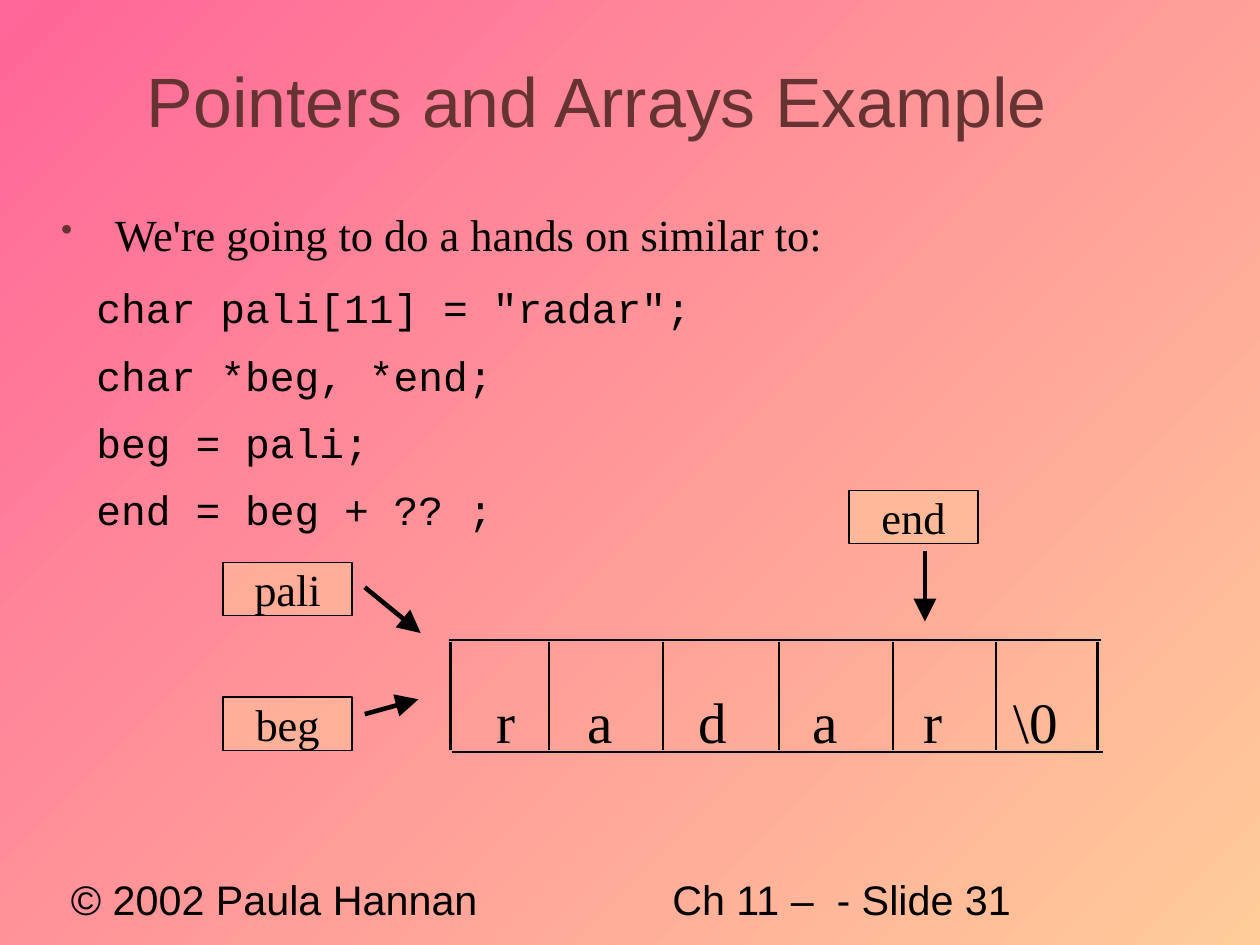
from lxml.etree import SubElement as Sub
from pptx import Presentation
from pptx.dml.color import RGBColor
from pptx.enum.shapes import MSO_CONNECTOR as Conn, MSO_SHAPE as Shape
from pptx.enum.text import MSO_ANCHOR as Anchor, PP_ALIGN as Align
from pptx.oxml.ns import qn
from pptx.util import Cm, Inches, Pt

PINK = RGBColor(0xFF, 0x66, 0x99)
PEACH = RGBColor(0xFF, 0xCC, 0x99)
BROWN = RGBColor(0x66, 0x33, 0x33)
BLACK = RGBColor(0, 0, 0)
SANS, SERIF, MONO = "Arial", "Times New Roman", "Courier New"


class Page:
    """One slide; all places are percent of its width and height."""

    def __init__(self, deck):
        self.wide, self.high = deck.slide_width, deck.slide_height
        self.slide = deck.slides.add_slide(deck.slide_layouts[6])
        self.shapes = self.slide.shapes

    def spot(self, x, y):
        return round(self.wide * x / 100), round(self.high * y / 100)

    def back(self, start, stop):
        fill = self.slide.background.fill
        fill.gradient()
        fill.gradient_angle = 315
        for mark, color in zip(fill.gradient_stops, (start, stop)):
            mark.color.rgb = color

    def style(self, para, size, font, color=BLACK):
        for run in para.runs:
            run.font.size = Pt(size)
            run.font.name = font
            run.font.color.rgb = color

    def frame(self, shape, wrap=True, anchor=Anchor.TOP):
        frame = shape.text_frame
        frame.margin_left = frame.margin_right = 0
        frame.margin_top = frame.margin_bottom = 0
        frame.word_wrap = wrap
        frame.vertical_anchor = anchor
        return frame

    def text(self, place, words, size, font, color=BLACK,
             align=Align.LEFT, anchor=Anchor.TOP):
        box = self.shapes.add_textbox(*self.spot(*place[:2]), *self.spot(*place[2:]))
        frame = self.frame(box, anchor=anchor)
        frame.text = words
        para = frame.paragraphs[0]
        para.alignment = align
        self.style(para, size, font, color)
        return frame

    def indent(self, para, left, first):
        props = para._p.get_or_add_pPr()
        props.set("marL", str(Inches(left)))
        props.set("indent", str(Inches(first)))
        return props

    def bullet(self, para, color):
        props = self.indent(para, 0.55, -0.47)
        tint = Sub(props, qn("a:buClr"))
        Sub(tint, qn("a:srgbClr"), val=str(color))
        Sub(props, qn("a:buSzPct"), val="75000")
        Sub(props, qn("a:buChar"), char="•")

    def label(self, x, y, words):
        box = self.shapes.add_shape(
            Shape.RECTANGLE, *self.spot(x, y), *self.spot(10.25, 5.68))
        box.shadow.inherit = False
        box.fill.solid()
        box.fill.fore_color.rgb = PEACH
        tint = box.fill._xPr.find(qn("a:solidFill"))[0]
        Sub(tint, qn("a:alpha"), val="50000")
        box.line.color.rgb = BLACK
        box.line.width = Pt(0.75)
        frame = self.frame(box, wrap=False, anchor=Anchor.MIDDLE)
        frame.text = words
        frame.paragraphs[0].alignment = Align.CENTER
        self.style(frame.paragraphs[0], 28, SERIF)

    def line(self, start, stop, width=1.45, head=False):
        line = self.shapes.add_connector(
            Conn.STRAIGHT, *self.spot(*start), *self.spot(*stop))
        line.line.color.rgb = BLACK
        line.line.width = Pt(width)
        if head:
            Sub(line.line._get_or_add_ln(), qn("a:tailEnd"),
                type="triangle", w="lg", len="lg")
        Sub(line._element.spPr, qn("a:effectLst"))


def main():
    deck = Presentation()
    deck.slide_width, deck.slide_height = Cm(28), Cm(21)
    page = Page(deck)
    page.back(PINK, PEACH)

    # Footer and title
    page.text((5.63, 92.55, 33.3, 5.2), "© 2002 Paula Hannan", 26, SANS)
    page.text((53.36, 92.5, 36.48, 5.2), "Ch 11 –  - Slide 31", 26, SANS)
    page.text((4.72, 2.18, 85.39, 16.69), "Pointers and Arrays Example",
              44, SANS, BROWN, Align.CENTER, Anchor.MIDDLE)

    # Lead line and code
    body = page.text((4.12, 21.89, 88.84, 36),
                     "We're going to do a hands on similar to:", 28, SERIF)
    lead = body.paragraphs[0]
    page.bullet(lead, BROWN)
    lead.space_after = Pt(14.1)
    for code in ('char pali[11] = "radar";', "char *beg, *end;",
                 "beg = pali;", "end = beg + ?? ;"):
        para = body.add_paragraph()
        para.text = code
        page.indent(para, 0.86, -0.47)
        para.space_after = Pt(11.2)
        page.style(para, 26, MONO)

    # Array cells
    page.line((35.66, 67.71), (87.39, 67.71))
    page.line((35.84, 79.56), (87.57, 79.56))
    for x in (35.75, 43.56, 52.63, 61.8, 70.87, 79.04, 87.11):
        page.line((x, 67.9), (x, 79.4))
    mids = (40.18, 47.63, 56.6, 65.5, 74.04, 82.2)
    for x, sign in zip(mids, ("r", "a", "d", "a", "r", "\\0")):
        page.text((x - 3, 72.65, 6, 7), sign, 36, SERIF, align=Align.CENTER)

    # Pointers
    for x, y, name, start, stop in (
            (17.7, 59.49, "pali", (28.95, 62.15), (33.39, 66.99)),
            (17.7, 73.76, "beg", (28.95, 75.57), (33.21, 74)),
            (67.38, 51.87, "end", (73.41, 58.28), (73.41, 65.78))):
        page.label(x, y, name)
        page.line(start, stop, 2.89, head=True)

    deck.save("out.pptx")


if __name__ == "__main__":
    main()
